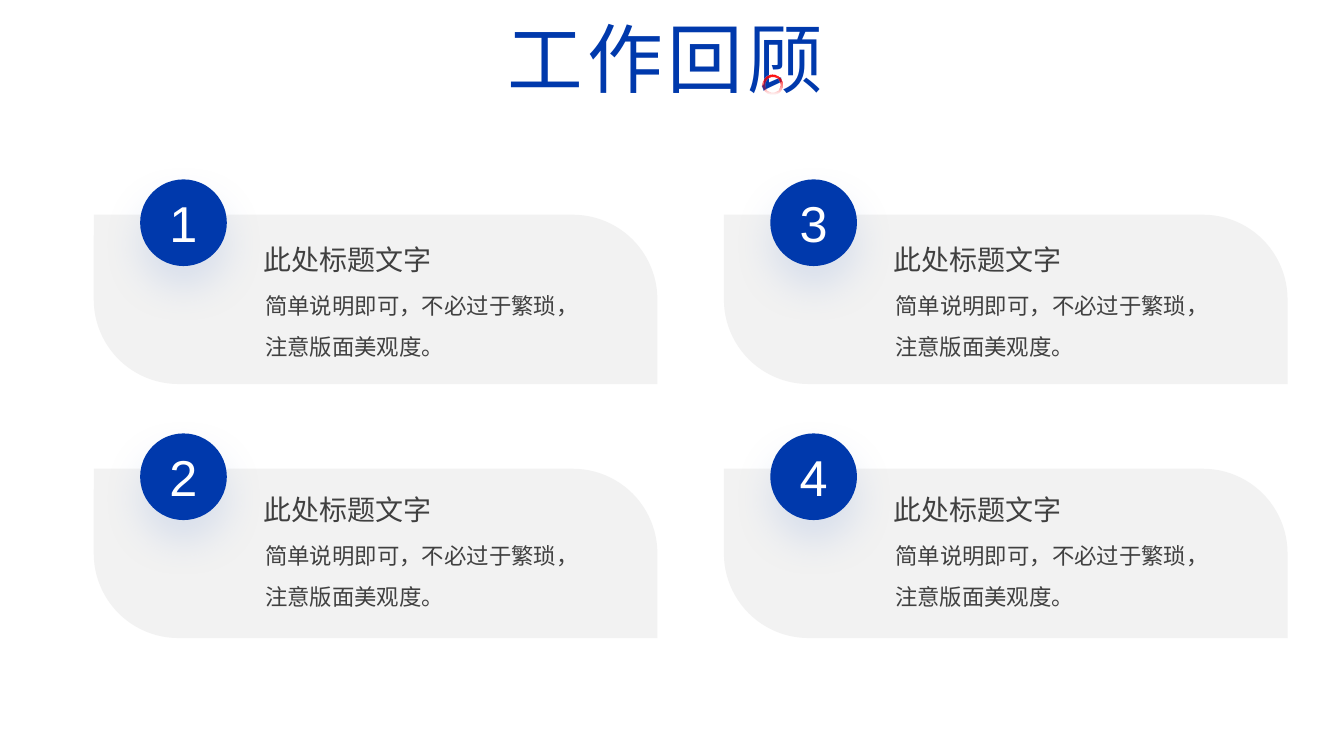
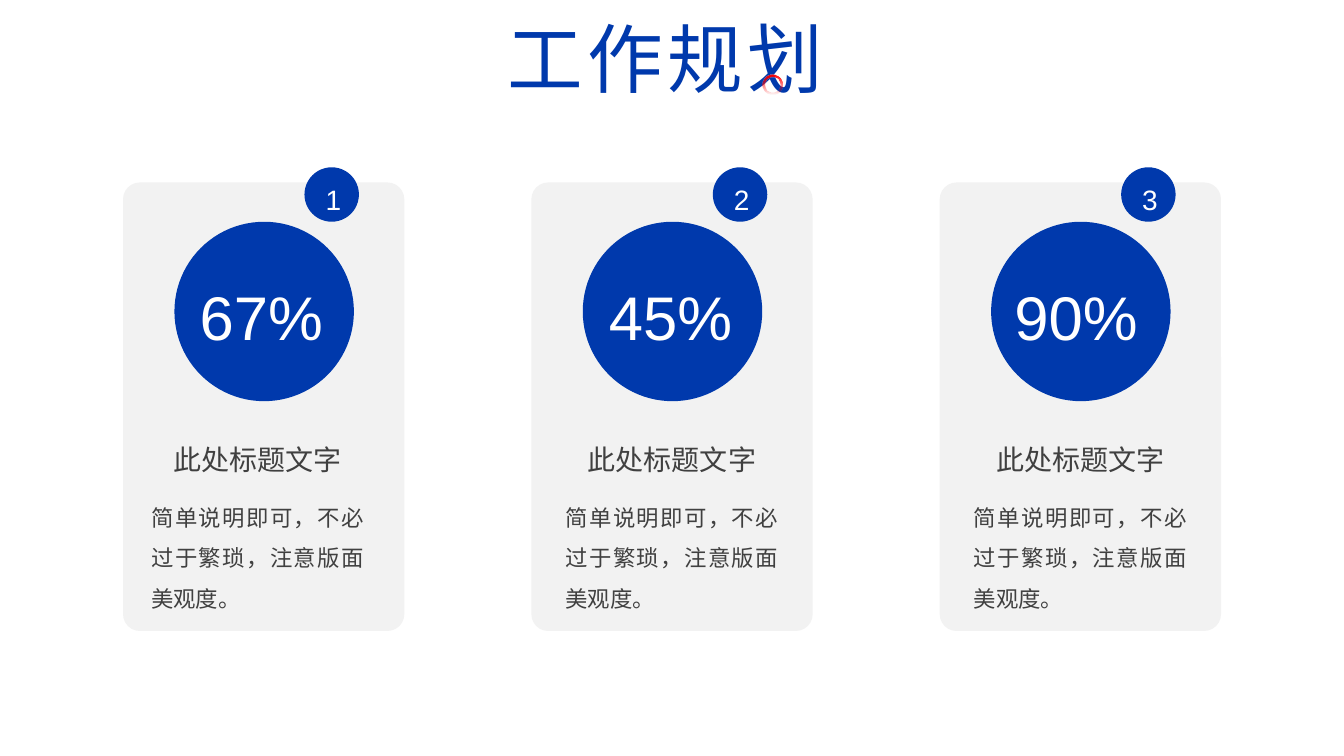
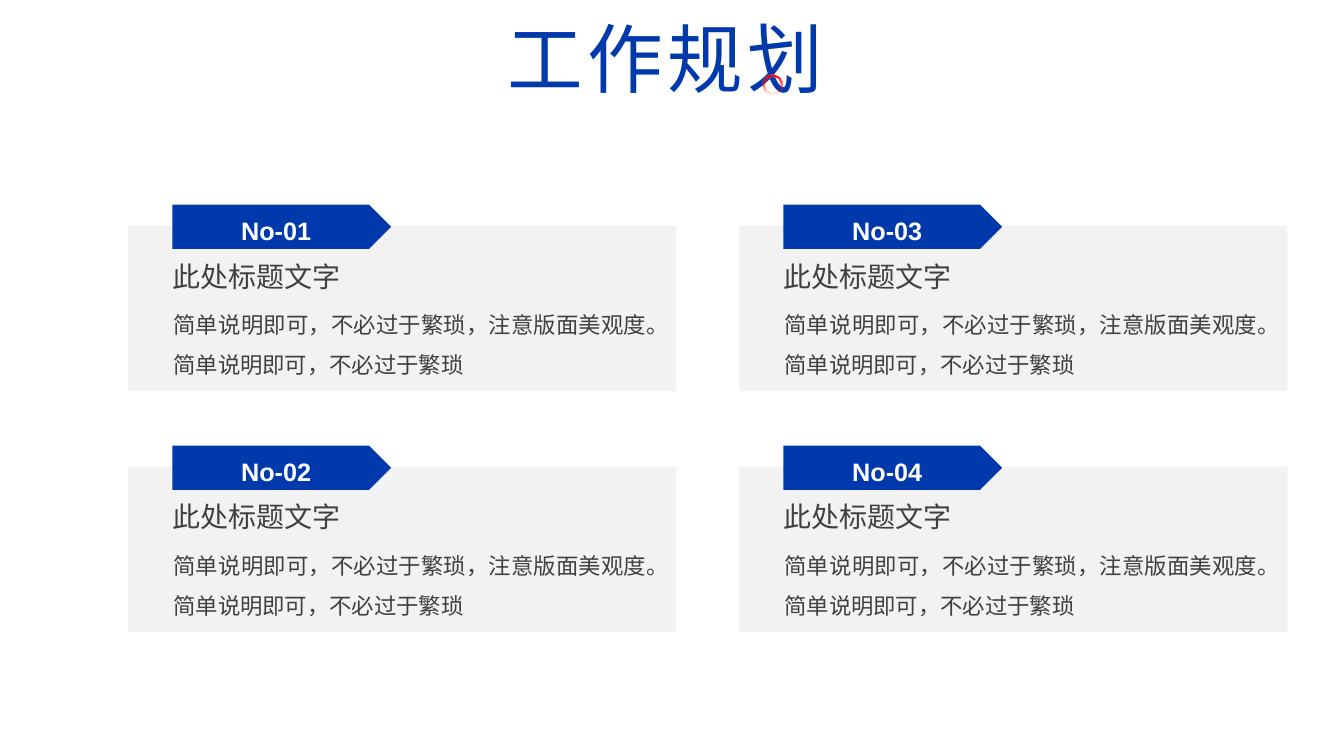
import lxml.etree
import pptx
import pptx.dml.color
import pptx.enum.shapes
import pptx.enum.text
import pptx.oxml.ns
import pptx.util

# Shared look
BLUE, GREY, DARK, WHITE, RED, GLOW = "0039AC", "F2F2F2", "404040", "FFFFFF", "FF0000", "8FAADC"
BODY_FONT, TITLE_FONT = "Arial", "Noto Sans CJK SC"
HEADING = "此处标题文字"
SHORT_NOTE = "简单说明即可，不必过于繁琐，注意版面美观度。"
LONG_NOTE = SHORT_NOTE + "简单说明即可，不必过于繁琐"
SHAPE = pptx.enum.shapes.MSO_SHAPE
ALIGN = pptx.enum.text.PP_ALIGN
ANCHOR = pptx.enum.text.MSO_ANCHOR
inch = pptx.util.Inches


def rgb(color):
    return pptx.dml.color.RGBColor.from_string(color)


def add_child(parent, tag, **attributes):
    element = lxml.etree.SubElement(parent, pptx.oxml.ns.qn(tag))
    for name, value in attributes.items():
        element.set(name, str(value))
    return element


# Text
def write(tf, text, size, color, align=ALIGN.JUSTIFY, font=BODY_FONT, spacing=None, bold=False):
    p = tf.paragraphs[0]
    p.text = text
    p.alignment = align
    p.line_spacing = spacing
    p.font.size = pptx.util.Pt(size)
    p.font.bold = bold
    p.font.color.rgb = rgb(color)
    p.font.name = font
    p.font._element.find(pptx.oxml.ns.qn("a:latin")).addnext(
        add_child(p.font._element, "a:ea", typeface=font))
    return p


def set_margins(tf, x, y):
    tf.margin_left = tf.margin_right = inch(x)
    tf.margin_top = tf.margin_bottom = inch(y)


def add_text(slide, x, y, w, h, text, size, color=DARK, wrap=False, spacing=None):
    tf = slide.shapes.add_textbox(inch(x), inch(y), inch(w), inch(h)).text_frame
    set_margins(tf, 0, 0)
    tf.word_wrap = wrap
    write(tf, text, size, color, spacing=spacing)


def add_heading(slide, x, y):
    add_text(slide, x, y, 1.68, 0.34, HEADING, 20)


def add_note(slide, x, y, w, h, text):
    add_text(slide, x, y, w, h, text, 16, wrap=True, spacing=1.5)


# Shapes
def plain(sp):
    sp.shadow.inherit = False
    sp.line.fill.background()
    return sp


def add_shape(slide, kind, x, y, w, h, color, adjustments=()):
    sp = plain(slide.shapes.add_shape(kind, inch(x), inch(y), inch(w), inch(h)))
    sp.fill.solid()
    sp.fill.fore_color.rgb = rgb(color)
    for i, value in enumerate(adjustments):
        sp.adjustments[i] = value
    return sp


def fade_down(sp, color):
    sp.fill.gradient()
    sp.fill.gradient_angle = 270
    for stop in sp.fill.gradient_stops:
        stop.color.rgb = rgb(color)
    last_color = sp.fill._xPr.findall(".//" + pptx.oxml.ns.qn("a:srgbClr"))[-1]
    add_child(last_color, "a:alpha", val=0)


def add_glow(sp):
    effects = sp._element.spPr.find(pptx.oxml.ns.qn("a:effectLst"))
    shadow = add_child(effects, "a:outerShdw", blurRad=pptx.util.Pt(28), dist=pptx.util.Pt(15),
                       dir=90 * 60000, algn="t", rotWithShape=0)
    add_child(add_child(shadow, "a:srgbClr", val=GLOW), "a:alpha", val=25000)


def add_chevrons(slide, edge, direction):
    """Three chevrons running inward from the outer edge."""
    top, count, width, total = 0.62, 3, 0.25, 0.76
    step = (total - width) / (count - 1)
    outline = [(0, 0), (0.12, 0), (width, 0.1), (0.12, 0.2), (0, 0.2), (0.12, 0.1)]
    builder = None
    for i in range(count):
        points = [(edge + direction * (i * step + x), top + y) for x, y in outline]
        if builder is None:
            builder = slide.shapes.build_freeform(*points[0], scale=inch(1))
        else:
            builder.move_to(*points[0])
        builder.add_line_segments(points[1:], close=True)
    fade_down(plain(builder.convert_to_shape()), BLUE)


# Title band used by every slide
def add_titled_slide(prs, title):
    slide = prs.slides.add_slide(prs.slide_layouts[5])
    sp = slide.shapes.title
    sp.left, sp.top, sp.width, sp.height = inch(4.9), inch(0.06), inch(3.4), inch(1.01)
    tf = sp.text_frame
    tf.word_wrap = False
    tf.auto_size = pptx.enum.text.MSO_AUTO_SIZE.NONE
    tf.vertical_anchor = ANCHOR.MIDDLE
    p = write(tf, title, 54, BLUE, ALIGN.CENTER, TITLE_FONT)
    p.runs[0].font._element.set("spc", "300")
    fade_down(add_shape(slide, SHAPE.DONUT, 7.56, 0.74, 0.2, 0.2, RED, [0.13]), RED)
    add_chevrons(slide, 4.25, 1)
    add_chevrons(slide, 9.09, -1)
    return slide


def two_by_two(left, top, column_step, row_step):
    """Number, row, x and y of four cells, filled column by column."""
    for i in range(4):
        column, row = divmod(i, 2)
        yield i + 1, row, left + column * column_step, top + row * row_step


# Slide contents
def build_review(prs):
    slide = add_titled_slide(prs, "工作回顾")
    for number, row, x, y in two_by_two(0.93, 2.13, 6.25, 2.52):
        add_shape(slide, SHAPE.ROUND_2_DIAG_RECTANGLE, x, y, 5.59, 1.68, GREY, [0, 0.5])
        badge = add_shape(slide, SHAPE.OVAL, x + 0.46, y - 0.35, 0.86, 0.86, BLUE)
        add_glow(badge)
        badge.text_frame.vertical_anchor = ANCHOR.MIDDLE
        write(badge.text_frame, str(number), 36, WHITE, ALIGN.CENTER)
        text_y = y + (0.28, 0.24)[row]
        add_heading(slide, x + 1.68, text_y)
        add_note(slide, x + 1.7, text_y + 0.36, 2.89, 0.76, SHORT_NOTE)


def build_progress(prs):
    slide = add_titled_slide(prs, "工作规划")
    # Share, its inset and the heading's inset in each card
    cards = [("67%", 0.76, 0.5), ("45%", 0.77, 0.56), ("90%", 0.74, 0.56)]
    for i, (share, share_inset, heading_inset) in enumerate(cards):
        x, y = 1.22 + i * 4.05, 1.81
        add_shape(slide, SHAPE.ROUNDED_RECTANGLE, x, y, 2.79, 4.45, GREY, [0.06])
        add_shape(slide, SHAPE.ROUNDED_RECTANGLE, x + 0.51, y + 0.39, 1.78, 1.78, BLUE, [0.5])
        badge = add_shape(slide, SHAPE.OVAL, x + 1.8, y - 0.15, 0.54, 0.54, BLUE)
        set_margins(badge.text_frame, 0.13, 0.07)
        badge.text_frame.vertical_anchor = ANCHOR.TOP
        write(badge.text_frame, str(i + 1), 20, WHITE, ALIGN.LEFT)
        add_heading(slide, x + heading_inset, y + 2.58)
        add_note(slide, x + heading_inset - 0.22, y + 3.06, 2.11, 1.16, SHORT_NOTE)
        add_text(slide, x + share_inset, y + 0.96, 1.27, 0.74, share, 44, WHITE)


def build_plan(prs):
    slide = add_titled_slide(prs, "工作规划")
    for number, _, x, y in two_by_two(1.27, 2.24, 6.06, 2.39):
        add_shape(slide, SHAPE.RECTANGLE, x, y, 5.44, 1.64, GREY)
        tag = add_shape(slide, SHAPE.PENTAGON, x + 0.44, y - 0.21, 2.17, 0.44, BLUE)
        tag.text_frame.vertical_anchor = ANCHOR.TOP
        write(tag.text_frame, f"No-{number:02d}", 18, WHITE, ALIGN.CENTER, spacing=1.2, bold=True)
        add_heading(slide, x + 0.44, y + 0.33)
        add_note(slide, x + 0.45, y + 0.71, 4.7, 0.76, LONG_NOTE)


def main():
    prs = pptx.Presentation()
    prs.slide_width, prs.slide_height = inch(13.33), inch(7.5)
    build_review(prs)
    build_progress(prs)
    build_plan(prs)
    prs.save("out.pptx")


if __name__ == "__main__":
    main()
